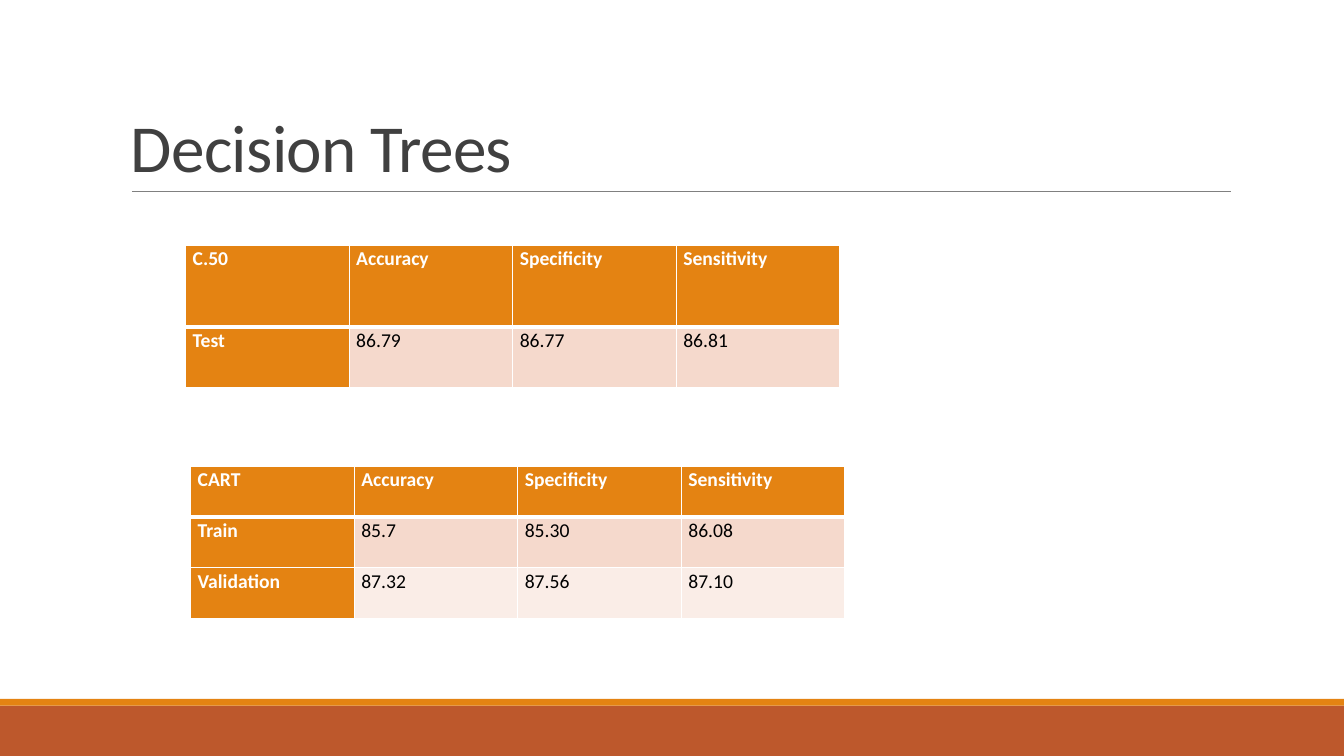
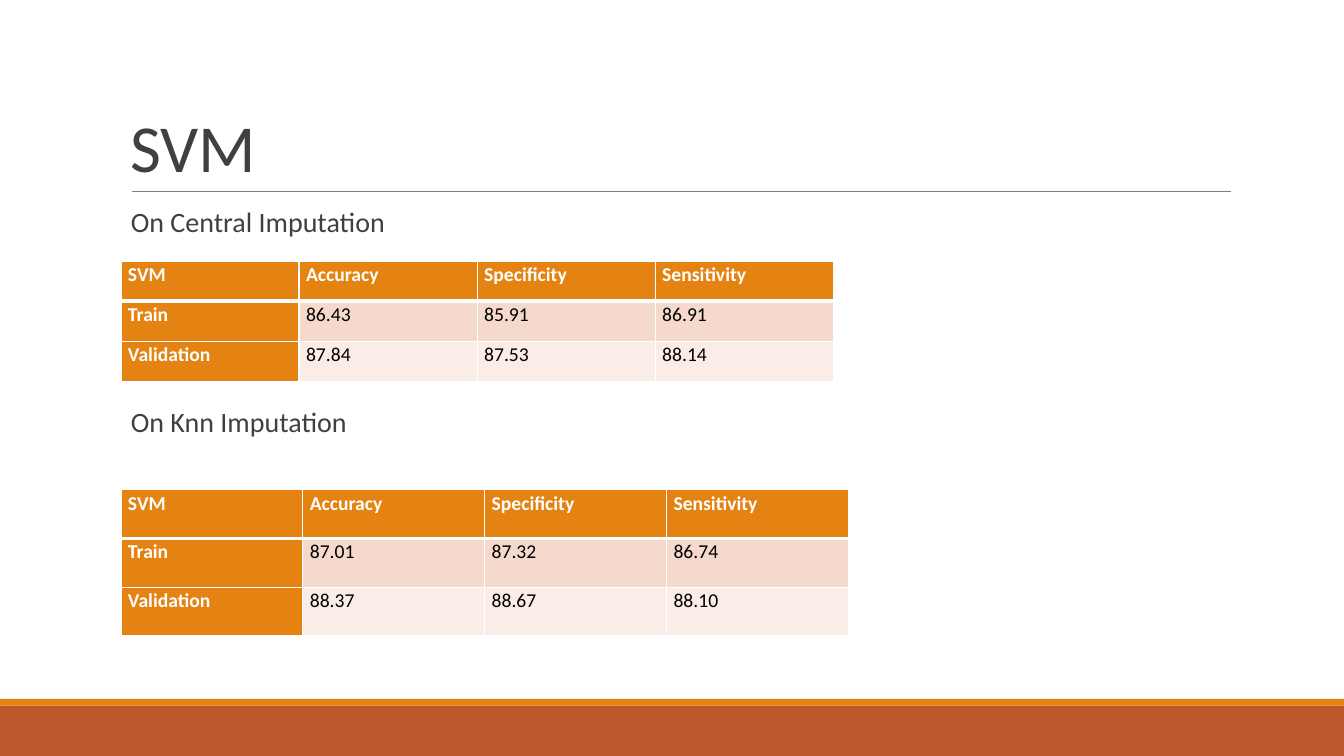
from dataclasses import dataclass

from lxml.etree import SubElement
from pptx import Presentation
from pptx.dml.color import RGBColor
from pptx.enum.shapes import MSO_CONNECTOR, MSO_SHAPE
from pptx.enum.text import MSO_ANCHOR
from pptx.oxml import parse_xml
from pptx.oxml.ns import nsdecls, qn
from pptx.slide import Slide
from pptx.util import Inches, Pt

SLIDE_WIDTH, SLIDE_HEIGHT = Inches(13.333), Inches(7.5)
GRID_COLUMNS, GRID_ROWS = 160, 90
MEASURES = ("Accuracy", "Specificity", "Sensitivity")


@dataclass(frozen=True)
class Theme:
    font: str = "Calibri"
    heading: str = "404040"
    value: str = "000000"
    white: str = "FFFFFF"
    footer: str = "BD582C"
    accent: str = "E48312"
    rule: str = "808080"
    stripes: tuple[str, str] = ("F5D9CC", "FAEDE7")
    title_size: float = 48
    caption_size: float = 20
    table_size: float = 14
    rule_width: float = 0.5
    border: float = 1
    header_border: float = 3


@dataclass(frozen=True)
class Band:
    top: float
    height: float
    color: str


@dataclass(frozen=True)
class Caption:
    text: str
    top: float


@dataclass(frozen=True)
class ScoreTable:
    model: str
    left: float
    top: float
    column_width: float
    row_heights: tuple[float, ...]
    scores: dict[str, tuple[str, str, str]]


@dataclass(frozen=True)
class ModelSlide:
    title: str
    tables: tuple[ScoreTable, ...]
    captions: tuple[Caption, ...] = ()


THEME = Theme()
BANDS = (Band(84, 6, THEME.footer), Band(83.2, 0.8, THEME.accent))
TEXT_LEFT, TEXT_WIDTH = 14.4, 132
TITLE_TOP, RULE_TOP = 3.7, 22.8
RULE_LEFT, RULE_RIGHT = 15.7, 146.5

MODEL_SLIDES = (
    ModelSlide("Decision Trees", (
        ScoreTable("C.50", 22.1, 29.2, 19.47, (9.7, 7.3), {
            "Test": ("86.79", "86.77", "86.81"),
        }),
        ScoreTable("CART", 22.7, 55.55, 19.47, (6.03,) * 3, {
            "Train": ("85.7", "85.30", "86.08"),
            "Validation": ("87.32", "87.56", "87.10"),
        }),
    )),
    ModelSlide("SVM", (
        ScoreTable("SVM", 14.4, 31.1, 21.2, (4.77,) * 3, {
            "Train": ("86.43", "85.91", "86.91"),
            "Validation": ("87.84", "87.53", "88.14"),
        }),
        ScoreTable("SVM", 14.4, 58.3, 21.65, (5.8,) * 3, {
            "Train": ("87.01", "87.32", "86.74"),
            "Validation": ("88.37", "88.67", "88.10"),
        }),
    ), (Caption("On Central Imputation", 24.2), Caption("On Knn Imputation", 48))),
)


def across(columns: float) -> int:
    return round(SLIDE_WIDTH * columns / GRID_COLUMNS)


def down(rows: float) -> int:
    return round(SLIDE_HEIGHT * rows / GRID_ROWS)


def write(frame, text: str, *, size: float, color: str, bold: bool = False,
          line_spacing: float = 1, space_after: float = 0, tracking: float = 0) -> None:
    frame.word_wrap = True
    paragraph = frame.paragraphs[0]
    paragraph.line_spacing = line_spacing
    paragraph.space_after = Pt(space_after)
    run = paragraph.add_run()
    run.text = text
    run.font.name = THEME.font
    run.font.size = Pt(size)
    run.font.bold = bold
    run.font.color.rgb = RGBColor.from_string(color)
    if tracking:
        run.font._element.set("spc", str(round(tracking * 100)))


def add_frame(slide: Slide, top: float, height: float, anchor: MSO_ANCHOR):
    frame = slide.shapes.add_textbox(
        across(TEXT_LEFT), down(top), across(TEXT_WIDTH), down(height)).text_frame
    frame.vertical_anchor = anchor
    return frame


def add_band(slide: Slide, band: Band) -> None:
    strip = slide.shapes.add_shape(
        MSO_SHAPE.RECTANGLE, 0, down(band.top), SLIDE_WIDTH, down(band.height))
    strip.shadow.inherit = False
    strip.fill.solid()
    strip.fill.fore_color.rgb = RGBColor.from_string(band.color)
    strip.line.fill.background()


def add_title(slide: Slide, title: str) -> None:
    rule = slide.shapes.add_connector(
        MSO_CONNECTOR.STRAIGHT, across(RULE_LEFT), down(RULE_TOP),
        across(RULE_RIGHT), down(RULE_TOP))
    rule.line.color.rgb = RGBColor.from_string(THEME.rule)
    rule.line.width = Pt(THEME.rule_width)
    SubElement(rule._element.spPr, qn("a:effectLst"))
    frame = add_frame(slide, TITLE_TOP, RULE_TOP - TITLE_TOP, MSO_ANCHOR.BOTTOM)
    write(frame, title, size=THEME.title_size, color=THEME.heading,
          line_spacing=0.85, tracking=-0.5)


def add_caption(slide: Slide, caption: Caption) -> None:
    frame = add_frame(slide, caption.top, 5, MSO_ANCHOR.TOP)
    write(frame, caption.text, size=THEME.caption_size, color=THEME.heading,
          line_spacing=0.9)


def set_borders(cell, top: float, bottom: float) -> None:
    widths = {"lnL": THEME.border, "lnR": THEME.border, "lnT": top, "lnB": bottom}
    properties = cell._tc.get_or_add_tcPr()
    for position, (side, width) in enumerate(widths.items()):
        properties.insert(position, parse_xml(
            f'<a:{side} {nsdecls("a")} w="{Pt(width)}"><a:solidFill>'
            f'<a:srgbClr val="{THEME.white}"/></a:solidFill></a:{side}>'))


def fill_cell(cell, text: str, row: int, column: int) -> None:
    is_heading = row == 0 or column == 0
    cell.margin_left = cell.margin_right = Inches(0.07)
    cell.margin_top = cell.margin_bottom = 0
    cell.fill.solid()
    cell.fill.fore_color.rgb = RGBColor.from_string(
        THEME.accent if is_heading else THEME.stripes[(row - 1) % 2])
    set_borders(cell,
                top=THEME.header_border if row == 1 else THEME.border,
                bottom=THEME.header_border if row == 0 else THEME.border)
    write(cell.text_frame, text, size=THEME.table_size, bold=is_heading,
          color=THEME.white if is_heading else THEME.value,
          line_spacing=1.07, space_after=8)


def add_scores(slide: Slide, scores: ScoreTable) -> None:
    lines = [(scores.model, *MEASURES)]
    lines += [(sample, *values) for sample, values in scores.scores.items()]
    column_count = len(lines[0])
    table = slide.shapes.add_table(
        len(lines), column_count, across(scores.left), down(scores.top),
        across(scores.column_width * column_count),
        down(sum(scores.row_heights))).table
    table.horz_banding = False
    for column in table.columns:
        column.width = across(scores.column_width)
    for row, (line, height) in enumerate(zip(lines, scores.row_heights)):
        table.rows[row].height = down(height)
        for column, text in enumerate(line):
            fill_cell(table.cell(row, column), text, row, column)


def add_model_slide(deck, content: ModelSlide) -> None:
    slide = deck.slides.add_slide(deck.slide_layouts[6])
    for band in BANDS:
        add_band(slide, band)
    add_title(slide, content.title)
    for caption in content.captions:
        add_caption(slide, caption)
    for scores in content.tables:
        add_scores(slide, scores)


def main() -> None:
    deck = Presentation()
    deck.slide_width, deck.slide_height = SLIDE_WIDTH, SLIDE_HEIGHT
    for content in MODEL_SLIDES:
        add_model_slide(deck, content)
    deck.save("out.pptx")


if __name__ == "__main__":
    main()
